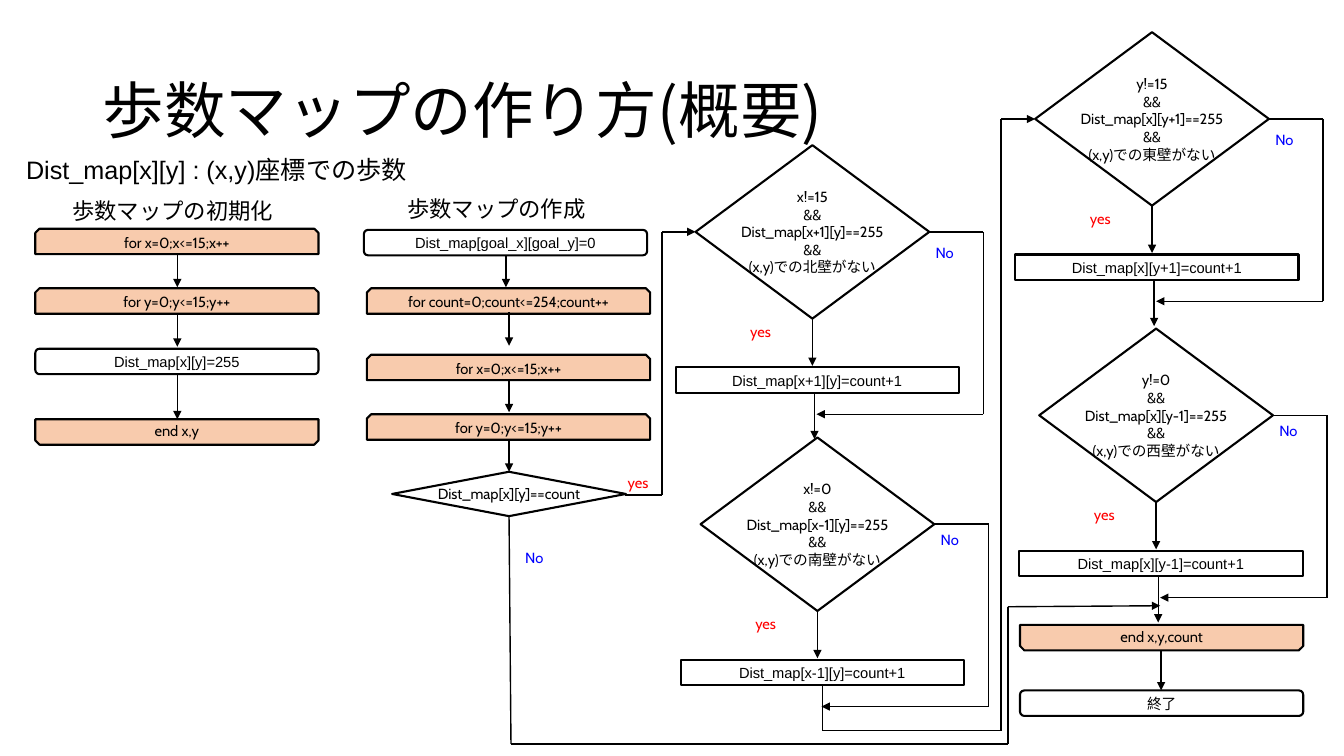
from dataclasses import dataclass
from itertools import pairwise

from lxml.etree import SubElement
from pptx import Presentation
from pptx.dml.color import RGBColor
from pptx.enum.shapes import MSO_CONNECTOR, MSO_SHAPE
from pptx.enum.text import MSO_ANCHOR, MSO_AUTO_SIZE, PP_ALIGN
from pptx.oxml.ns import qn
from pptx.util import Pt


@dataclass(frozen=True)
class Theme:
    ink: RGBColor = RGBColor(0, 0, 0)
    loop: RGBColor = RGBColor(0xF8, 0xCB, 0xAD)
    yes: RGBColor = RGBColor(0xFF, 0, 0)
    no: RGBColor = RGBColor(0, 0, 0xFF)
    node_font: str = "Cabin"
    code_font: str = "Arial"
    japanese_font: str = "Noto Sans CJK JP"
    title_size: float = 44
    note_size: float = 18
    heading_size: float = 16
    node_size: float = 10.5
    outline: float = 1.5
    connector: float = 1


THEME = Theme()
BOX_WIDTH, BOX_HEIGHT = 202.3, 18.2
DECISION_WIDTH, DECISION_HEIGHT = 167, 123.9

# Kind of box: preset shape, adjustments, fill, font
BOX_KINDS = {
    "loop": (MSO_SHAPE.SNIP_2_SAME_RECTANGLE, (), THEME.loop, THEME.node_font),
    "end": (MSO_SHAPE.SNIP_2_SAME_RECTANGLE, (0, 0.172), THEME.loop, THEME.node_font),
    "assign": (MSO_SHAPE.FLOWCHART_ALTERNATE_PROCESS, (), None, THEME.code_font),
    "update": (MSO_SHAPE.FLOWCHART_PROCESS, (), None, THEME.code_font),
    "stop": (MSO_SHAPE.ROUNDED_RECTANGLE, (), None, THEME.node_font),
}

# Left, top, kind, text
BOXES = [
    (25.2, 163.4, "loop", "for x=0;x<=15;x++"),
    (25.2, 205.9, "loop", "for y=0;y<=15;y++"),
    (25.2, 249.1, "assign", "Dist_map[x][y]=255"),
    (25.2, 299.5, "end", "end x,y"),
    (259.9, 164.2, "assign", "Dist_map[goal_x][goal_y]=0"),
    (262.1, 205.9, "loop", "for count=0;count<=254;count++"),
    (262.1, 253.4, "loop", "for x=0;x<=15;x++"),
    (262.1, 295.9, "loop", "for y=0;y<=15;y++"),
    (728.6, 446.4, "end", "end x,y,count"),
    (728.6, 493.2, "stop", "終了"),
]

# Horizontal position, start, end
DOWN_ARROWS = [
    (126.7, 181.4, 205.2), (126.7, 223.9, 247.7), (126.7, 267.1, 299.5),
    (361.4, 182.9, 205.2), (363.6, 223.2, 247), (363.6, 271.4, 294.5),
    (363.6, 313.9, 337), (829.4, 464.4, 493.2),
]

# Left, top, limit, neighbour, wall, drop of the "No" label, goes straight down
WALL_CHECKS = [
    (496.8, 103.7, "x!=15", "Dist_map[x+1][y]", "北", 76.7, True),
    (500.4, 312.5, "x!=0", "Dist_map[x-1][y]", "南", 73, False),
    (739.4, 23, "y!=15", "Dist_map[x][y+1]", "東", 76.7, True),
    (742.3, 234.7, "y!=0", "Dist_map[x][y-1]", "西", 73, True),
]

LONG_ROUTES = [
    [(446.4, 353.5), (473, 353.5), (473, 165.6), (496.8, 165.6)],
    [(587.5, 489.6), (587.5, 522), (715, 522), (715, 85), (739.4, 85)],
    [(363.6, 369.4), (365, 531.4), (720, 531.4), (720, 433.4), (828.7, 432.7)],
]


def set_values(target, values):
    for name, value in values.items():
        setattr(target, name, value)


def write_text(frame, text, font_name, size, color=THEME.ink, frame_format=None, **paragraph_format):
    set_values(frame, frame_format or {})
    for index, line in enumerate(text.split("\n")):
        paragraph = frame.add_paragraph() if index else frame.paragraphs[0]
        set_values(paragraph, paragraph_format)
        run = paragraph.add_run()
        run.text = line
        set_values(run.font, {"name": font_name, "size": Pt(size)})
        run.font.color.rgb = color
        east_asian = SubElement(run.font._element, qn("a:ea"))
        east_asian.set("typeface", THEME.japanese_font)


def add_node(slide, preset, bounds, text, font_name=THEME.node_font,
             fill=None, color=THEME.ink, outlined=True):
    shape = slide.shapes.add_shape(preset, *map(Pt, bounds))
    shape.shadow.inherit = False
    if fill is None:
        shape.fill.background()
    else:
        shape.fill.solid()
        shape.fill.fore_color.rgb = fill
    if outlined:
        shape.line.color.rgb = THEME.ink
        shape.line.width = Pt(THEME.outline)
    else:
        shape.line.fill.background()
    write_text(shape.text_frame, text, font_name, THEME.node_size, color,
               {"word_wrap": False, "vertical_anchor": MSO_ANCHOR.MIDDLE},
               alignment=PP_ALIGN.CENTER)
    return shape


def add_box(slide, left, top, kind, text):
    preset, adjustments, fill, font_name = BOX_KINDS[kind]
    shape = add_node(slide, preset, (left, top, BOX_WIDTH, BOX_HEIGHT), text, font_name, fill)
    for index, value in enumerate(adjustments):
        shape.adjustments[index] = value


def add_decision(slide, left, top, height, text):
    add_node(slide, MSO_SHAPE.FLOWCHART_DECISION, (left, top, DECISION_WIDTH, height), text)


def add_answer(slide, text, center_x, center_y):
    width, height, color = (27, 16.6, THEME.yes) if text == "yes" else (54, 18, THEME.no)
    bounds = (center_x - width / 2, center_y - height / 2, width, height)
    add_node(slide, MSO_SHAPE.FLOWCHART_PROCESS, bounds, text, color=color, outlined=False)


def add_route(slide, points):
    """Join the points with straight lines and put an arrowhead on the last one."""
    for start, end in pairwise(points):
        connector = slide.shapes.add_connector(MSO_CONNECTOR.STRAIGHT, *map(Pt, start + end))
        connector.line.color.rgb = THEME.ink
        connector.line.width = Pt(THEME.connector)
        properties = connector._element.spPr
        SubElement(properties, qn("a:effectLst"))
        if end == points[-1]:
            SubElement(properties.find(qn("a:ln")), qn("a:tailEnd")).set("type", "triangle")


def add_wall_check(slide, left, top, limit, neighbour, wall, no_drop, straight_down):
    """Draw a decision, its update box and the line that bypasses the update."""
    condition = "\n&&\n".join([limit, f"{neighbour}==255", f"(x,y)での{wall}壁がない"])
    add_decision(slide, left, top, DECISION_HEIGHT, condition)
    add_box(slide, left - 14.2, top + 158.8, "update", f"{neighbour}=count+1")
    add_answer(slide, "yes", left + 46.5, top + 132.9)
    add_answer(slide, "No", left + 178, top + no_drop)
    routes = [
        [(83.5, DECISION_HEIGHT), (83.5, 157.7)],
        [(DECISION_WIDTH, 61.9), (205.7, 61.9), (205.7, 192.2), (86.4, 192.2)],
    ]
    if straight_down:
        routes.append([(85, 177.1), (85, 210)])
    for route in routes:
        add_route(slide, [(left + x, top + y) for x, y in route])


def add_caption(slide, left, top, width, height, text, font_name, size):
    caption = slide.shapes.add_textbox(*map(Pt, (left, top, width, height)))
    write_text(caption.text_frame, text, font_name, size, frame_format={
        "word_wrap": True, "auto_size": MSO_AUTO_SIZE.SHAPE_TO_FIT_TEXT})


def add_title(slide, text):
    title = slide.shapes.title
    set_values(title, {"left": Pt(66.2), "top": Pt(28.8), "width": Pt(828), "height": Pt(104.4)})
    write_text(title.text_frame, text, THEME.japanese_font, THEME.title_size, frame_format={
        "vertical_anchor": MSO_ANCHOR.MIDDLE, "auto_size": MSO_AUTO_SIZE.NONE},
        alignment=PP_ALIGN.LEFT, line_spacing=0.9)


def main():
    presentation = Presentation()
    set_values(presentation, {"slide_width": Pt(960), "slide_height": Pt(540)})
    slide = presentation.slides.add_slide(presentation.slide_layouts[5])
    add_title(slide, "歩数マップの作り方(概要)")
    add_caption(slide, 11.5, 106.6, 288.7, 29, "Dist_map[x][y] : (x,y)座標での歩数",
                THEME.code_font, THEME.note_size)
    for left, top, heading in [(44.6, 137.5, "歩数マップの初期化"), (283.7, 136.1, "歩数マップの作成")]:
        add_caption(slide, left, top, BOX_WIDTH, 26.6, heading,
                    THEME.japanese_font, THEME.heading_size)
    for box in BOXES:
        add_box(slide, *box)
    add_decision(slide, 280.1, 337, 31.7, "Dist_map[x][y]==count")
    add_answer(slide, "yes", 455.8, 344.5)
    add_answer(slide, "No", 381.6, 398.2)
    for check in WALL_CHECKS:
        add_wall_check(slide, *check)
    for x, start, end in DOWN_ARROWS:
        add_route(slide, [(x, start), (x, end)])
    for route in LONG_ROUTES:
        add_route(slide, route)
    presentation.save("out.pptx")


if __name__ == "__main__":
    main()
